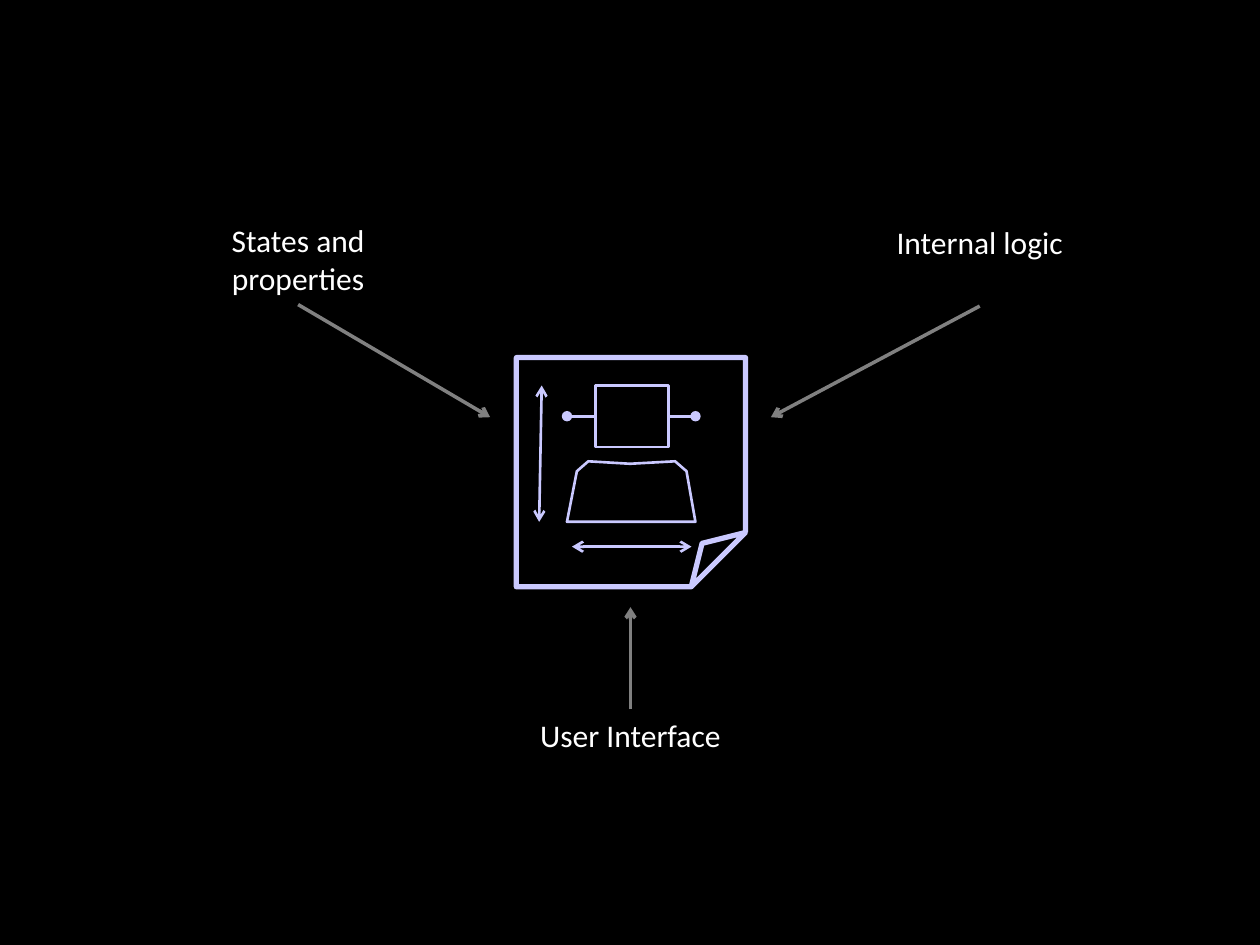
from pptx import Presentation
from pptx import util as u
from pptx.dml.color import RGBColor
from pptx.enum import shapes, text
from pptx.oxml.ns import qn
from lxml import etree

LILAC, GRAY, BLACK, WHITE = "CAC9FF", "808080", "000000", "FFFFFF"


def paint(fmt, color):
    if hasattr(fmt, "solid"):
        fmt.solid()
        fmt = fmt.fore_color
    fmt.rgb = RGBColor.from_string(color)


def add_line(parent, x1, y1, x2, y2, color, width, **ends):
    c = parent.add_connector(shapes.MSO_CONNECTOR.STRAIGHT, u.Cm(x1), u.Cm(y1), u.Cm(x2), u.Cm(y2))
    paint(c.line.color, color)
    c.line.width = u.Pt(width)
    ln = c.line._get_or_add_ln()
    for tag, kind in ends.items():
        etree.SubElement(ln, qn("a:" + tag), type=kind)
    etree.SubElement(c._element.spPr, qn("a:effectLst"))
    return c


prs = Presentation()
prs.slide_width, prs.slide_height = u.Cm(25.4), u.Cm(19.05)
s = prs.slides.add_slide(prs.slide_layouts[6])
paint(s.background.fill, BLACK)

icon = s.shapes.add_group_shape().shapes
page = icon.add_shape(shapes.MSO_SHAPE.FOLDED_CORNER, u.Cm(10.41), u.Cm(7.21), u.Cm(4.62), u.Cm(4.62))
av = next(page._element.iter(qn("a:avLst")))
etree.SubElement(av, qn("a:gd"), name="adj", fmla="val 23700")
paint(page.fill, BLACK)

head = icon.add_shape(shapes.MSO_SHAPE.RECTANGLE, u.Cm(12.01), u.Cm(7.77), u.Cm(1.47), u.Cm(1.24))
head.fill.background()

outline = [(11.86, 9.3), (12.7, 9.35), (13.61, 9.3), (13.84, 9.5),
           (14.02, 10.52), (11.43, 10.52), (11.63, 9.5)]
points = [(u.Cm(x), u.Cm(y)) for x, y in outline]
fb = icon.build_freeform(*points[0])
fb.add_line_segments(points[1:], close=True)
body = fb.convert_to_shape()
body.fill.background()

for sp, width in [(page, 3), (head, 1.5), (body, 1.5)]:
    paint(sp.line.color, LILAC)
    sp.line.width = u.Pt(width)
    sp.shadow.inherit = False

for x1, x2, side in [(13.48, 14.02, 3), (12.01, 11.43, 1)]:
    ear = add_line(icon, x1, 8.39, x2, 8.39, LILAC, 1.5, tailEnd="oval")
    ear.begin_connect(head, side)

for ends in [(10.92, 7.77, 10.87, 10.52), (13.94, 11.02, 11.53, 11.02)]:
    add_line(icon, *ends, LILAC, 1.5, headEnd="arrow", tailEnd="arrow")

labels = [
    ("States and properties", 3.18, 4.34, 2, 9.88, 8.41),
    ("Internal logic", 16.92, 4.37, 2, 15.54, 8.41),
    ("User Interface", 9.88, 14.3, 0, 12.71, 12.24),
]
for label, x, y, side, tip_x, tip_y in labels:
    sp = s.shapes.add_textbox(u.Cm(x), u.Cm(y), u.Cm(5.66), u.Cm(1.8))
    tf = sp.text_frame
    tf.word_wrap = True
    tf.auto_size = text.MSO_AUTO_SIZE.SHAPE_TO_FIT_TEXT
    p = tf.paragraphs[0]
    p.alignment = text.PP_ALIGN.CENTER
    r = p.add_run()
    r.text = label
    r.font.name = "Calibri"
    r.font.size = u.Pt(18)
    paint(r.font.color, WHITE)
    arrow = add_line(s.shapes, x, y, tip_x, tip_y, GRAY, 2, tailEnd="arrow")
    arrow.begin_connect(sp, side)

prs.save("out.pptx")
